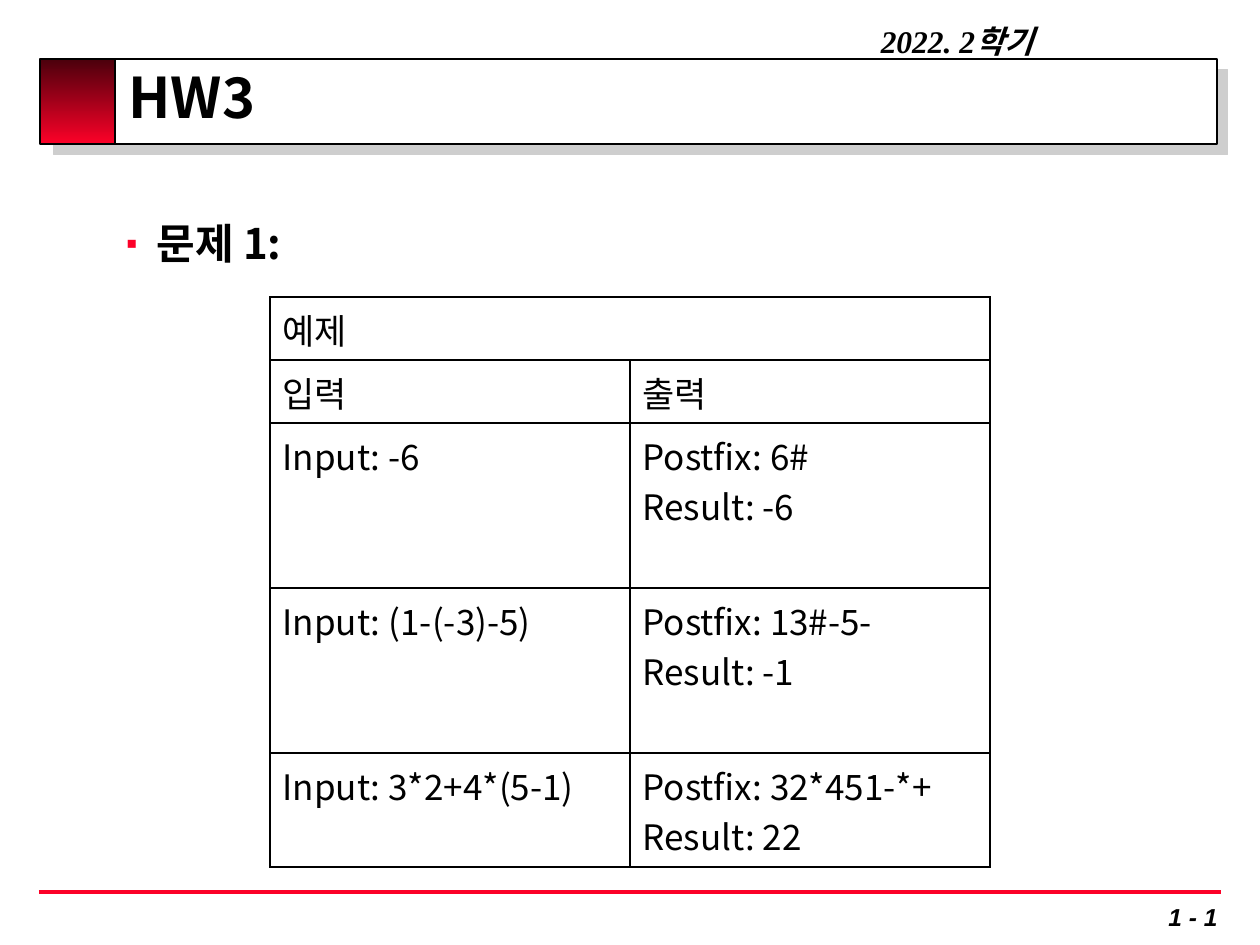
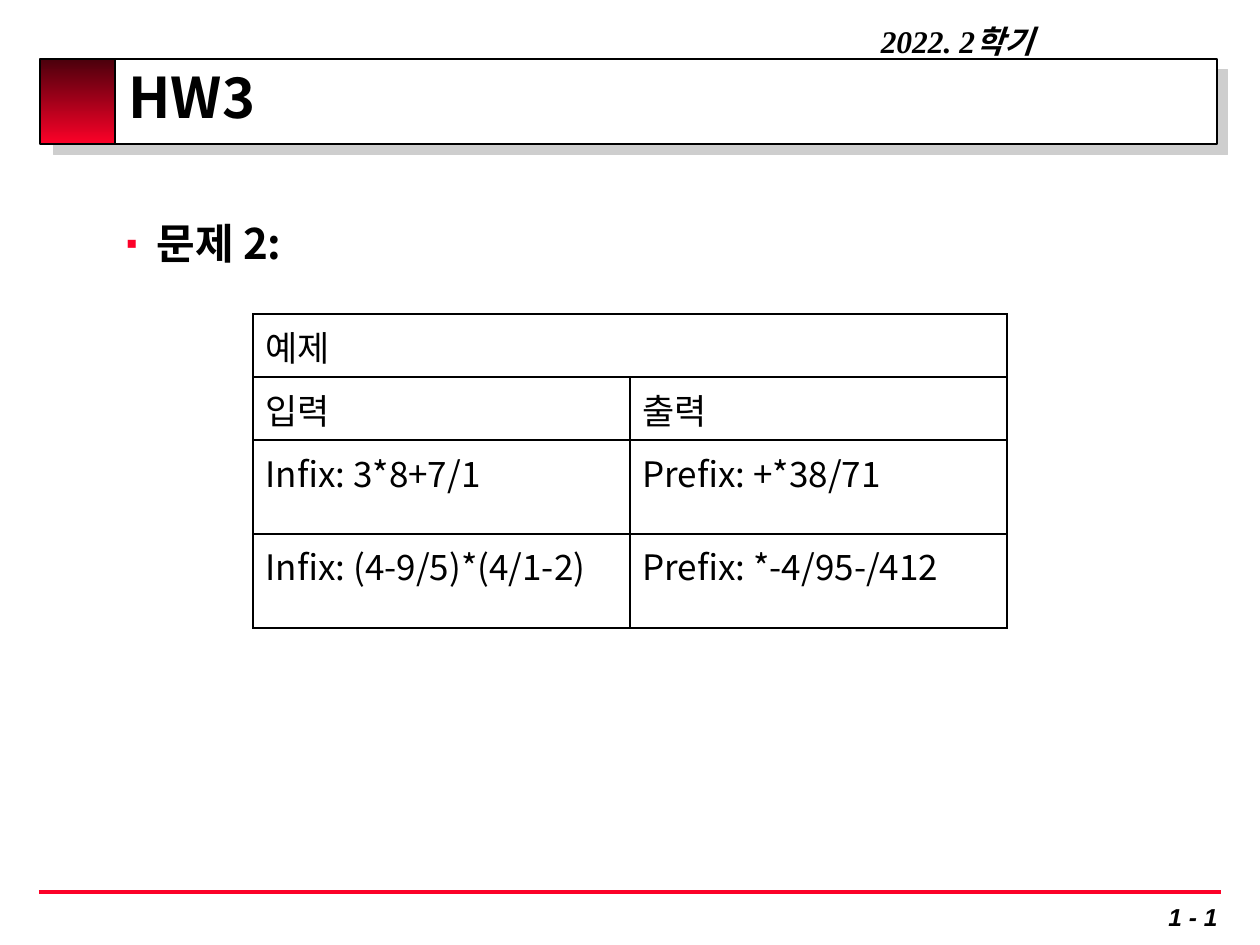
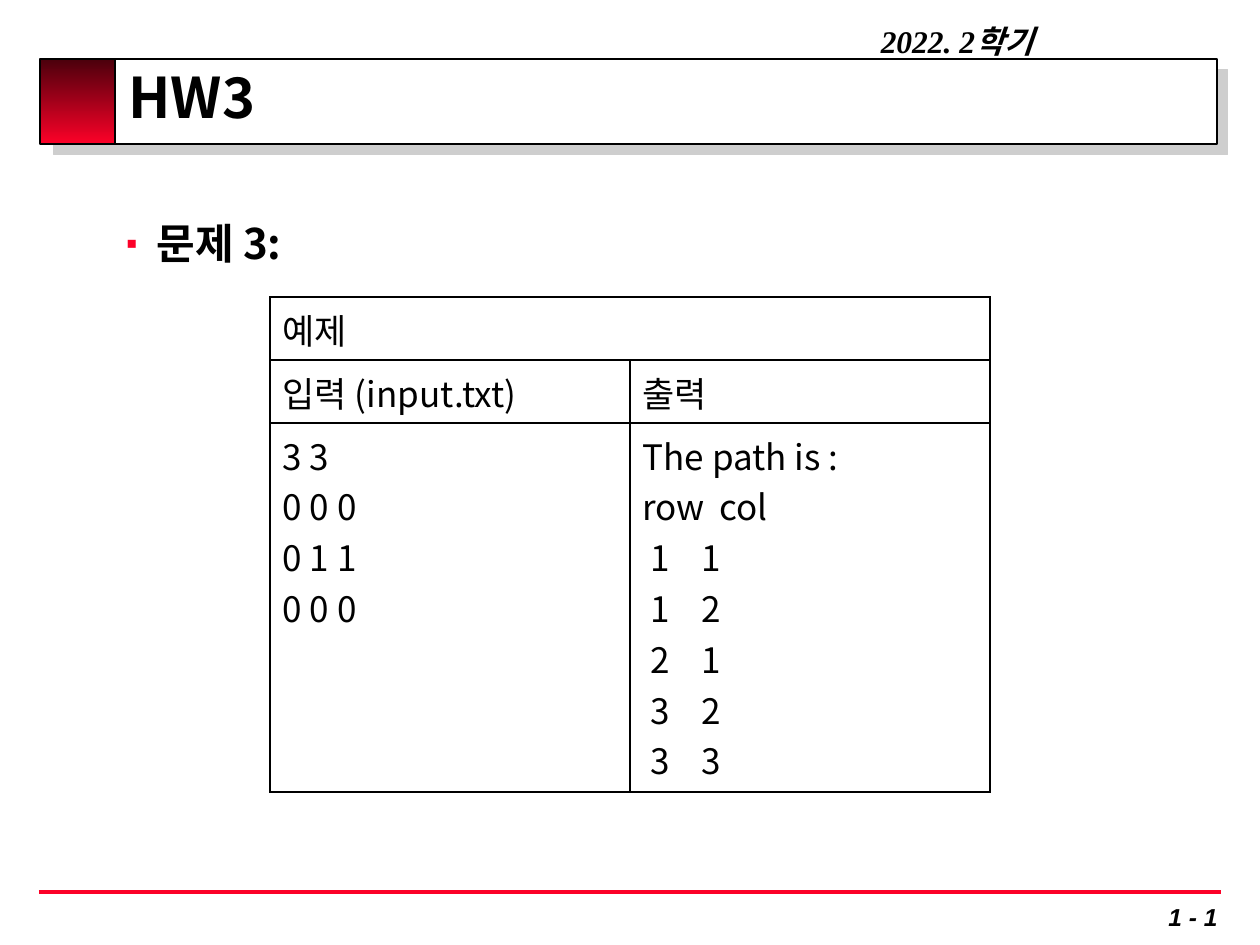
from lxml import etree
from pptx import Presentation
from pptx.dml.color import RGBColor
from pptx.enum.shapes import MSO_CONNECTOR, MSO_SHAPE
from pptx.enum.text import MSO_ANCHOR, PP_ALIGN
from pptx.oxml.ns import qn
from pptx.util import Emu, Pt

RECT = MSO_SHAPE.RECTANGLE
STRAIGHT = MSO_CONNECTOR.STRAIGHT
MIDDLE = MSO_ANCHOR.MIDDLE
CENTER, RIGHT = PP_ALIGN.CENTER, PP_ALIGN.RIGHT

PX_PER_INCH = 126
BLACK, WHITE, RED, DARK_RED, GREY = "000000", "FFFFFF", "FC0128", "4B000C", "CECECE"
SANS = "Noto Sans CJK KR"

TITLE = dict(name=SANS, size=Pt(32), bold=True)
BULLET = dict(name=SANS, size=Pt(24), bold=True)
CELL = dict(name=SANS, size=Pt(20), bold=False)
TERM = dict(name="Times New Roman", size=Pt(18), bold=True, italic=True)
PAGE = dict(name="Arial", size=Pt(14), bold=True, italic=True)

HEADER_BOX = (40, 59, 1177, 85)
FOOTER_BOX = (39, 892, 1182, 50)
ROW_H = 63
COL_STOPS = (8, 59, 77)

PROBLEMS = [
    dict(heading="문제 1:", box=(270, 297, 720), heights=(165, 165, 114),
         labels=("입력", "출력"),
         rows=[("Input: -6", "Postfix: 6#\nResult: -6"),
               ("Input: (1-(-3)-5)", "Postfix: 13#-5-\nResult: -1"),
               ("Input: 3*2+4*(5-1)", "Postfix: 32*451-*+\nResult: 22")]),
    dict(heading="문제 2:", box=(253, 314, 754), heights=(94, 94),
         labels=("입력", "출력"),
         rows=[("Infix: 3*8+7/1", "Prefix: +*38/71"),
               ("Infix: (4-9/5)*(4/1-2)", "Prefix: *-4/95-/412")]),
    dict(heading="문제 3:", box=(270, 297, 720), heights=(369,),
         labels=("입력 (input.txt)", "출력"),
         rows=[("3 3\n0 0 0\n0 1 1\n0 0 0",
                "The path is :\nrow\tcol\n\t1\t1\n\t1\t2\n\t2\t1\n\t3\t2\n\t3\t3")]),
]


def px(n):
    return Emu(round(n * 914400 / PX_PER_INCH))


def rgb(color):
    return RGBColor.from_string(color)


def sub(parent, tag, **attrs):
    return etree.SubElement(parent, qn(tag), {k: str(v) for k, v in attrs.items()})


def add_shadow(effects, distance):
    shadow = sub(effects, "a:outerShdw", dist=distance, dir=2700000, algn="ctr", rotWithShape=0)
    sub(shadow, "a:srgbClr", val=GREY)


def write(p, text, style):
    """Add a run in the given style, for Latin and Korean letters alike."""
    r = p.add_run()
    r.text = text
    for key, value in style.items():
        setattr(r.font, key, value)
    r.font.color.rgb = rgb(BLACK)
    sub(r.font._element, "a:ea", typeface=SANS)
    return r


def add_text(s, box, text, style, anchor=None, **layout):
    tf = s.shapes.add_textbox(*map(px, box)).text_frame
    tf.word_wrap = True
    tf.vertical_anchor = anchor
    p = tf.paragraphs[0]
    for key, value in layout.items():
        setattr(p, key, value)
    return p, write(p, text, style)


def add_rect(s, box):
    sp = s.shapes.add_shape(RECT, *map(px, box))
    sp.shadow.inherit = False
    sp.line.color.rgb = rgb(BLACK)
    sp.line.width = Pt(1)
    return sp


def add_header(s, box, title):
    x, y, w, h = box
    band = add_rect(s, (x + 3, y, w - 3, h))
    band.fill.solid()
    band.fill.fore_color.rgb = rgb(WHITE)
    add_shadow(band._element.spPr.find(qn("a:effectLst")), Pt(8.5))

    block = add_rect(s, (x, y, 75, h))
    block.fill.gradient()
    block.fill.gradient_angle = 270
    for stop, color, position in zip(block.fill.gradient_stops, (DARK_RED, RED), (0, 1)):
        stop.color.rgb = rgb(color)
        stop.position = position

    add_text(s, (x + 649, y - 43, 536, 50), "2022. 2학기", TERM, alignment=CENTER)
    _, r = add_text(s, (x + 76, y - 4, w - 72, 95), title, TITLE, MIDDLE,
                    line_spacing=0.8, space_before=Pt(2))
    effects = etree.Element(qn("a:effectLst"))
    add_shadow(effects, Pt(3))
    r.font._element.find(qn("a:solidFill")).addnext(effects)


def add_footer(s, box):
    x, y, w, h = box
    rule = s.shapes.add_connector(STRAIGHT, px(x), px(y), px(x + w), px(y))
    rule.line.color.rgb = rgb(RED)
    rule.line.width = Pt(2.25)
    sub(rule._element.spPr, "a:effectLst")
    add_text(s, (x + w - 127, y + 4, 136, h - 8), "1 - 1", PAGE, MIDDLE, alignment=RIGHT)


def add_heading(s, box, text):
    p, _ = add_text(s, box, text, BULLET)
    pPr = p._p.get_or_add_pPr()
    pPr.set("marL", str(px(39)))
    pPr.set("indent", str(px(-39)))
    sub(sub(pPr, "a:buClr"), "a:srgbClr", val=RED)
    sub(pPr, "a:buSzPct", val=70000)
    sub(pPr, "a:buFont", typeface=SANS)
    sub(pPr, "a:buChar", char="▪")


def format_cell(cell):
    cell.fill.solid()
    cell.fill.fore_color.rgb = rgb(WHITE)
    tcPr = cell._tc.get_or_add_tcPr()
    for i, side in enumerate(("a:lnL", "a:lnR", "a:lnT", "a:lnB")):
        ln = sub(tcPr, side, w=Pt(1))
        sub(sub(ln, "a:solidFill"), "a:srgbClr", val=BLACK)
        tcPr.insert(i, ln)


def fill_cell(cell, text):
    tf = cell.text_frame
    for i, line in enumerate(text.split("\n")):
        p = tf.add_paragraph() if i else tf.paragraphs[0]
        write(p, line, CELL)
        if "\t" in line:
            stops = sub(p._p.get_or_add_pPr(), "a:tabLst")
            for stop in COL_STOPS:
                sub(stops, "a:tab", pos=px(stop), algn="l")


def add_examples(s, box, labels, rows, heights):
    x, y, w = box
    lines = [("예제", ""), labels, *rows]
    heights = (ROW_H, ROW_H, *heights)
    frame = s.shapes.add_table(len(lines), 2, px(x), px(y), px(w), px(sum(heights)))
    table = frame.table
    table.first_row = table.horz_banding = False
    for col in table.columns:
        col.width = px(w // 2)
    for i, (line, height) in enumerate(zip(lines, heights)):
        table.rows[i].height = px(height)
        for j, text in enumerate(line):
            format_cell(table.cell(i, j))
            if text:
                fill_cell(table.cell(i, j), text)
    table.cell(0, 0).merge(table.cell(0, 1))


def add_problem(prs, heading, box, **examples):
    s = prs.slides.add_slide(prs.slide_layouts[6])
    add_header(s, HEADER_BOX, "HW3")
    add_footer(s, FOOTER_BOX)
    add_heading(s, (105, 211, 1105, 73), heading)
    add_examples(s, box, **examples)


def main():
    prs = Presentation()
    prs.slide_width, prs.slide_height = px(1260), px(945)
    for problem in PROBLEMS:
        add_problem(prs, **problem)
    prs.save("out.pptx")


if __name__ == "__main__":
    main()
